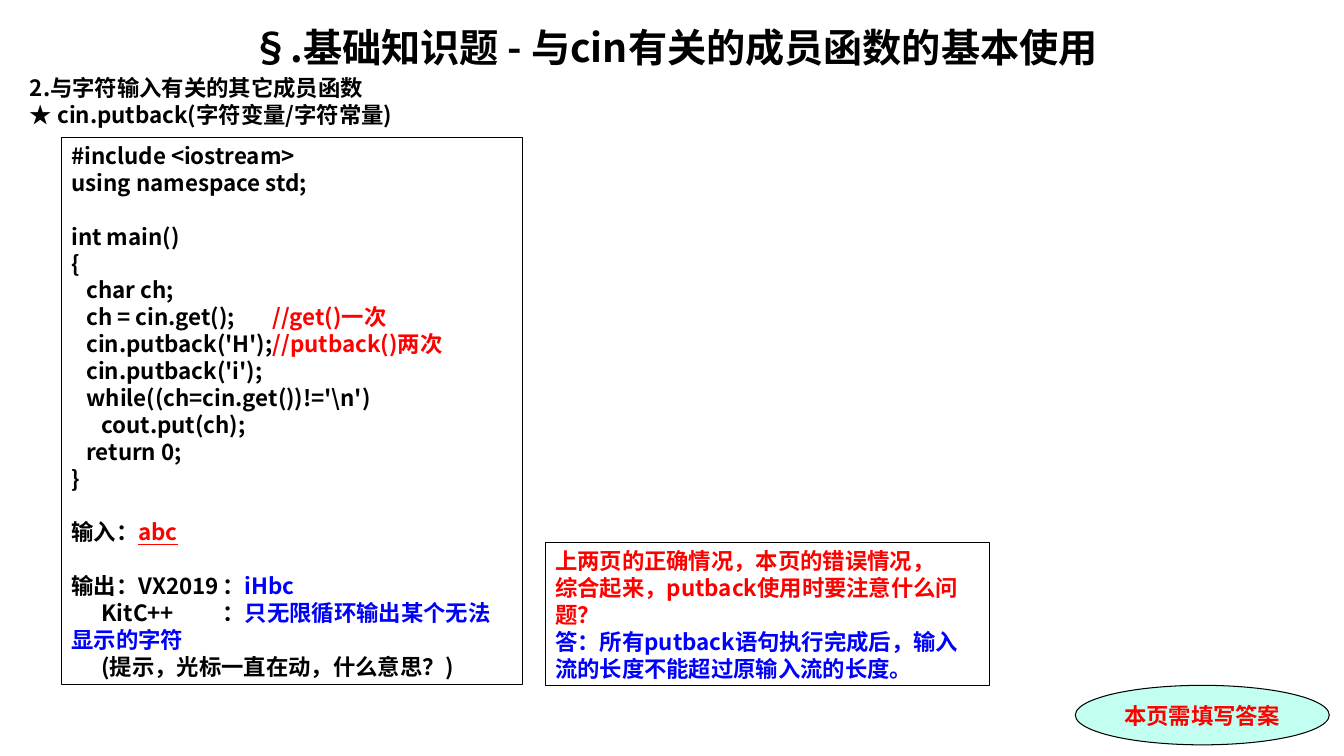
from pptx import Presentation
from pptx.dml.color import RGBColor
from pptx.enum.shapes import MSO_SHAPE
from pptx.enum.text import MSO_ANCHOR, MSO_AUTO_SIZE, PP_ALIGN
from pptx.oxml.ns import qn
from pptx.util import Cm, Pt
from lxml.etree import SubElement

BLACK = RGBColor(0x00, 0x00, 0x00)
RED = RGBColor(0xFF, 0x00, 0x00)
BLUE = RGBColor(0x00, 0x00, 0xFF)
MINT = RGBColor(0xC2, 0xFF, 0xF0)

SANS = "Noto Sans CJK SC"
SERIF = "Times New Roman"
INDENT_STEP = 0.38

# Each line: spans as (text, colour), then indent level, tab stop in cm, gap above
CODE_LINES = [
    ([("#include <iostream>", BLACK)], 0, None, False),
    ([("using namespace std;", BLACK)], 0, None, False),
    ([("int main()", BLACK)], 0, None, True),
    ([("{", BLACK)], 0, None, False),
    ([("char ch;", BLACK)], 1, None, False),
    ([("ch = cin.get();\t", BLACK), ("//get()一次", RED)], 1, 4.64, False),
    ([("cin.putback('H');\t", BLACK), ("//putback()两次", RED)], 1, 5.36, False),
    ([("cin.putback('i');", BLACK)], 1, None, False),
    ([("while((ch=cin.get())!='\\n')", BLACK)], 1, None, False),
    ([("cout.put(ch);", BLACK)], 2, None, False),
    ([("return 0;", BLACK)], 1, None, False),
    ([("}", BLACK)], 0, None, False),
    ([("输入：", BLACK), ("abc", RED)], 0, None, True),
    ([("输出：VX2019\t：", BLACK), ("iHbc", BLUE)], 0, 4.6, True),
    ([("KitC++\t：", BLACK), ("只无限循环输出某个无法显示的字符", BLUE)], 2, 3.65, False),
    ([("(提示，光标一直在动，什么意思？)", BLACK)], 2, None, False),
]


class SlideBuilder:
    def __init__(self, slide, size=16):
        self.slide = slide
        self.size = size

    def fill_paragraph(self, para, spans, font=SANS, size=None, indent=0, tab=None, gap=False):
        """Fill one paragraph with coloured spans at a fixed line pitch."""
        size = size or self.size
        pitch = Pt(size * 1.2)
        para.line_spacing = pitch
        para.space_before = pitch if gap else Pt(0)
        para.font.name, para.font.size, para.font.bold = font, Pt(size), True
        properties = para._p.get_or_add_pPr()
        properties.set("marL", "0")
        properties.set("indent", str(Cm(indent * INDENT_STEP)))
        default_run = properties.find(qn("a:defRPr"))
        SubElement(default_run, qn("a:ea"), typeface=SANS)
        bullet = SubElement(properties, qn("a:buNone"))
        default_run.addprevious(bullet)
        if tab:
            tabs = SubElement(properties, qn("a:tabLst"))
            SubElement(tabs, qn("a:tab"), pos=str(Cm(tab)), algn="l")
            default_run.addprevious(tabs)
        for text, colour in spans:
            span = para.add_run()
            span.text = text
            span.font.name, span.font.size, span.font.bold = font, Pt(size), True
            span.font.color.rgb = colour
            latin = span._r.get_or_add_rPr().find(qn("a:latin"))
            latin.addnext(SubElement(span._r.get_or_add_rPr(), qn("a:ea"), typeface=SANS))

    def fill_frame(self, shape, lines, align=PP_ALIGN.LEFT, anchor=MSO_ANCHOR.TOP, **style):
        frame = shape.text_frame
        frame.word_wrap = True
        frame.auto_size = MSO_AUTO_SIZE.NONE
        frame.vertical_anchor = anchor
        for number, (spans, indent, tab, gap) in enumerate(lines):
            para = frame.add_paragraph() if number else frame.paragraphs[0]
            para.alignment = align
            self.fill_paragraph(para, spans, indent=indent, tab=tab, gap=gap, **style)

    def placeholder(self, index, position, lines, **style):
        shape = self.slide.placeholders[index]
        shape.left, shape.top, shape.width, shape.height = map(Cm, position)
        self.fill_frame(shape, lines, **style)

    def box(self, kind, position, lines, fill=None, **style):
        shape = self.slide.shapes.add_shape(kind, *map(Cm, position))
        shape.shadow.inherit = False
        if fill is None:
            shape.fill.background()
        else:
            shape.fill.solid()
            shape.fill.fore_color.rgb = fill
        shape.line.color.rgb = BLACK
        shape.line.width = Pt(0.75)
        self.fill_frame(shape, lines, **style)
        return shape


def plain(text, colour):
    return [(text, colour)], 0, None, False


def main():
    deck = Presentation()
    deck.slide_width, deck.slide_height = Cm(33.87), Cm(19.05)
    builder = SlideBuilder(deck.slides.add_slide(deck.slide_layouts[1]))

    builder.placeholder(0, (0.5, 0.46, 33, 1.4),
                        [plain("§.基础知识题 - 与cin有关的成员函数的基本使用", BLACK)],
                        size=28, align=PP_ALIGN.CENTER)
    builder.placeholder(1, (0.5, 1.75, 33, 1.65),
                        [plain("2.与字符输入有关的其它成员函数", BLACK),
                         plain("★ cin.putback(字符变量/字符常量)", BLACK)])
    builder.box(MSO_SHAPE.RECTANGLE, (13.74, 13.67, 11.2, 3.6),
                [plain("上两页的正确情况，本页的错误情况，", RED),
                 plain("综合起来，putback使用时要注意什么问题？", RED),
                 plain("答：所有putback语句执行完成后，输入流的长度不能超过原输入流的长度。", BLUE)])
    builder.box(MSO_SHAPE.OVAL, (27.1, 17.27, 6.4, 1.5),
                [plain("本页需填写答案", RED)], fill=MINT, font=SERIF,
                align=PP_ALIGN.CENTER, anchor=MSO_ANCHOR.MIDDLE)
    code = builder.box(MSO_SHAPE.RECTANGLE, (1.55, 3.46, 11.61, 13.8), CODE_LINES)
    for para in code.text_frame.paragraphs:
        for span in para.runs:
            if span.text == "abc":
                span.font.underline = True

    deck.save("out.pptx")


if __name__ == "__main__":
    main()
